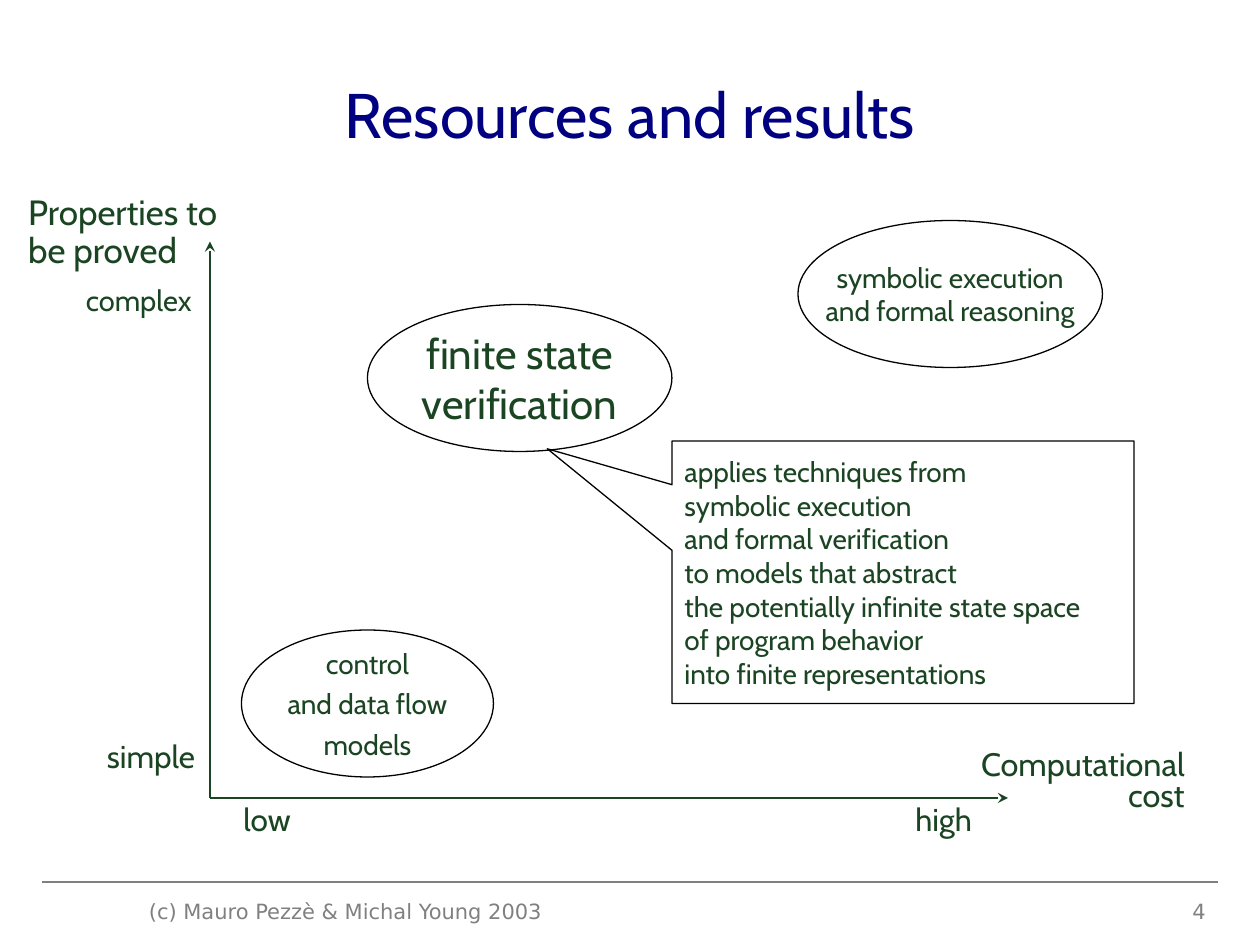
from lxml.etree import SubElement
from pptx import Presentation
from pptx.dml.color import RGBColor
from pptx.enum.shapes import MSO_CONNECTOR, MSO_SHAPE
from pptx.enum.text import MSO_ANCHOR, PP_ALIGN
from pptx.oxml.ns import qn
from pptx.util import Pt

COLORS = {"title": "000080", "text": "1A4422", "outline": "000000", "footer": "808080"}
ORIGIN = (120, 456)


def color(name):
    return RGBColor.from_string(COLORS[name])


def write(frame, text, size=16, font="Cabin", ink="text", align=PP_ALIGN.LEFT,
          anchor=MSO_ANCHOR.TOP, wrap=True, spacing=None, gap=0):
    """Fill a text frame, one paragraph per line of text, with gap points between."""
    frame.word_wrap = wrap
    frame.vertical_anchor = anchor
    for index, line in enumerate(text.split("\n")):
        para = frame.add_paragraph() if index else frame.paragraphs[0]
        para.alignment = align
        para.line_spacing = spacing
        para.space_before = Pt(gap if index else 0)
        span = para.add_run()
        span.text = line
        span.font.size = Pt(size)
        span.font.name = font
        span.font.color.rgb = color(ink)


def add_title(page, text):
    title = page.shapes.title
    title.left, title.top, title.width, title.height = Pt(36), Pt(21.6), Pt(648), Pt(86.4)
    write(title.text_frame, text, size=36, ink="title",
          align=PP_ALIGN.CENTER, anchor=MSO_ANCHOR.MIDDLE)


def add_label(page, text, left, top, width, height, **style):
    box = page.shapes.add_textbox(Pt(left), Pt(top), Pt(width), Pt(height))
    write(box.text_frame, text, **style)


def add_line(page, start, end, ink, arrow=False):
    line = page.shapes.add_connector(
        MSO_CONNECTOR.STRAIGHT, *(Pt(value) for value in (*start, *end)))
    line.line.color.rgb = color(ink)
    line.line.width = Pt(0.75)
    if arrow:
        SubElement(line.line._get_or_add_ln(), qn("a:tailEnd"), type="stealth")
    SubElement(line._element.spPr, qn("a:effectLst"))


def add_outlined(page, kind, text, left, top, width, height, **style):
    shape = page.shapes.add_shape(kind, Pt(left), Pt(top), Pt(width), Pt(height))
    shape.shadow.inherit = False
    shape.fill.background()
    shape.line.color.rgb = color("outline")
    shape.line.width = Pt(0.75)
    write(shape.text_frame, text, anchor=MSO_ANCHOR.MIDDLE, **style)
    return shape


def add_ellipse(page, text, left, top, width, **style):
    add_outlined(page, MSO_SHAPE.OVAL, text, left, top, width, 84,
                 align=PP_ALIGN.CENTER, wrap=False, **style)


def add_axes(page):
    add_line(page, ORIGIN, (ORIGIN[0], 138), "text", arrow=True)
    add_line(page, ORIGIN, (576, ORIGIN[1]), "text", arrow=True)
    add_label(page, "Properties to be proved", 9, 108, 135, 54, size=20, spacing=0.9)
    add_label(page, "Computational cost", 531, 426, 153, 48,
              size=18.5, spacing=0.8, align=PP_ALIGN.RIGHT)
    add_label(page, "complex", 42, 162, 84, 30, size=16.6, spacing=0.8)
    for text, left, top, width in (("simple", 54, 420, 78),
                                   ("low", 132, 456, 60),
                                   ("high", 516, 456, 60)):
        add_label(page, text, left, top, width, 30, size=18, spacing=0.9)


def add_footer(page):
    add_line(page, (24, 504), (696, 504), "footer")
    style = dict(size=12, font="DejaVu Sans", ink="footer")
    add_label(page, "(c) Mauro Pezzè & Michal Young 2003", 78, 510, 252, 19.2, **style)
    add_label(page, "4", 528, 510, 168, 19.2, align=PP_ALIGN.RIGHT, **style)


def main():
    deck = Presentation()
    deck.slide_width, deck.slide_height = Pt(720), Pt(540)
    page = deck.slides.add_slide(deck.slide_layouts[5])

    add_title(page, "Resources and results")
    add_axes(page)
    add_ellipse(page, "control\nand data flow\nmodels", 138, 360, 144, gap=4)
    add_ellipse(page, "symbolic execution\nand formal reasoning", 456, 126, 174)
    add_ellipse(page, "finite state\nverification", 210, 174, 174, size=24)
    callout = add_outlined(
        page, MSO_SHAPE.RECTANGULAR_CALLOUT,
        "applies techniques from\nsymbolic execution\nand formal verification\n"
        "to models that abstract\nthe potentially infinite state space\n"
        "of program behavior\ninto finite representations",
        384, 252, 264, 150)
    callout.adjustments[0] = -0.77
    callout.adjustments[1] = -0.47
    add_footer(page)

    deck.save("out.pptx")


if __name__ == "__main__":
    main()
